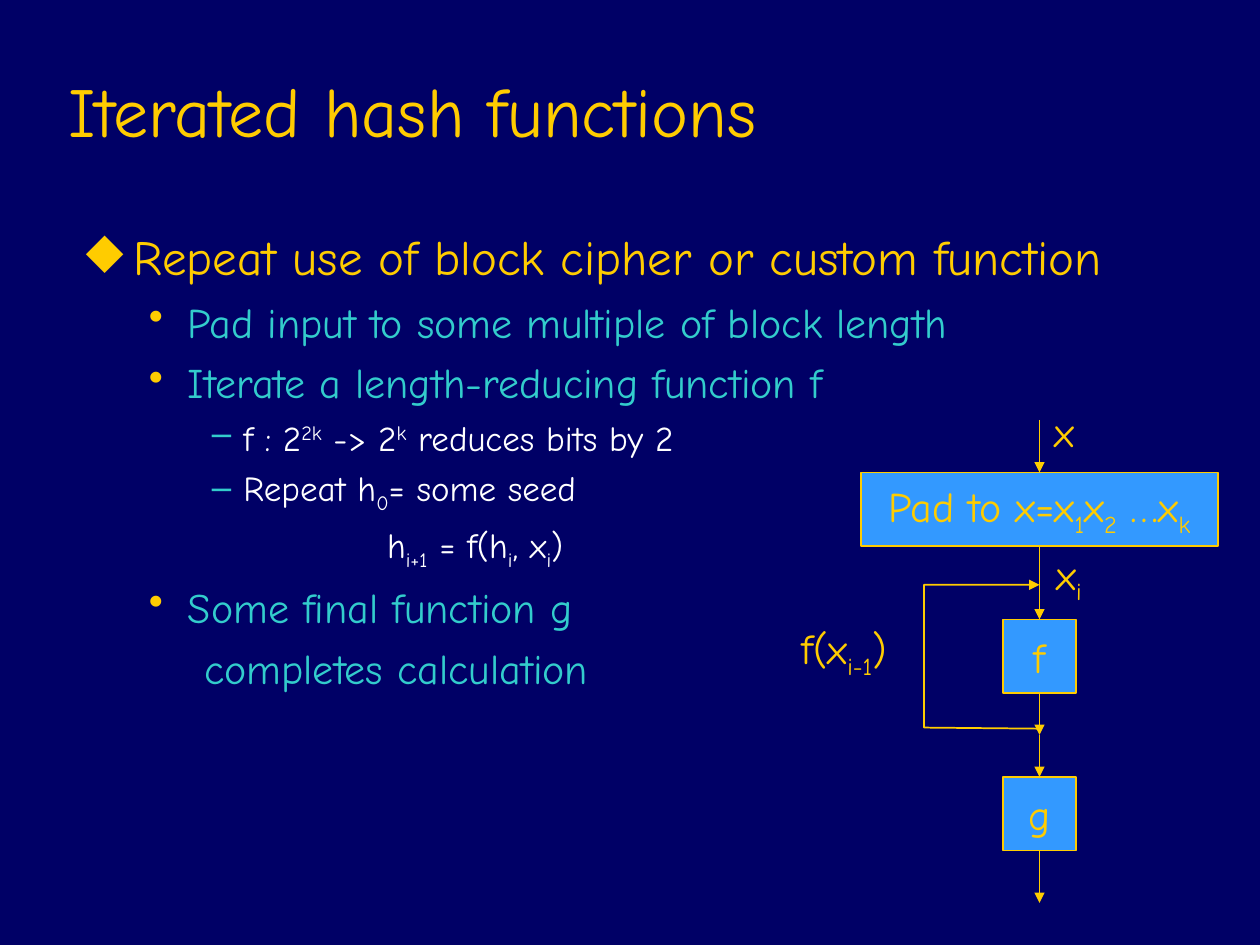
from dataclasses import dataclass

from lxml.etree import SubElement
from pptx import Presentation
from pptx.dml.color import RGBColor
from pptx.enum.shapes import MSO_CONNECTOR, MSO_SHAPE
from pptx.enum.text import MSO_ANCHOR, MSO_AUTO_SIZE, PP_ALIGN
from pptx.oxml.ns import qn
from pptx.util import Inches, Pt

NAVY = RGBColor(0x00, 0x00, 0x66)
GOLD = RGBColor(0xFF, 0xCC, 0x00)
TEAL = RGBColor(0x33, 0xCC, 0xCC)
WHITE = RGBColor(0xFF, 0xFF, 0xFF)
BLUE = RGBColor(0x33, 0x99, 0xFF)
FONT = "Comic Neue"
CELL = Inches(1) // 12  # the slide is a grid of 120 columns and 90 rows
AXIS = 99  # column that the data flow runs down
BASELINES = {"^": "30000", "_": "-25000"}


@dataclass(frozen=True)
class Level:
    depth: int
    size: int
    color: RGBColor
    bullet: str
    bullet_color: RGBColor
    margin: float
    hanging: float
    space_before: int


@dataclass(frozen=True)
class Item:
    level: Level
    text: str
    continued_at: float | None = None  # left margin of a line without bullet


@dataclass(frozen=True)
class Box:
    text: str
    row: float
    columns: float
    kind: MSO_SHAPE = MSO_SHAPE.RECTANGLE
    rows: float = 7


@dataclass(frozen=True)
class Label:
    text: str
    column: float
    row: float
    columns: float
    rows: float


TOPIC = Level(0, 28, GOLD, "◆", GOLD, 0.38, 0.38, 7)
POINT = Level(1, 24, TEAL, "•", GOLD, 0.81, 0.31, 6)
DETAIL = Level(2, 20, WHITE, "–", TEAL, 1.25, 0.25, 5)

# Parts between bars that start with ^ or _ are raised or lowered.
ITEMS = [
    Item(TOPIC, "Repeat use of block cipher or custom function"),
    Item(POINT, "Pad input to some multiple of block length"),
    Item(POINT, "Iterate a length-reducing function f"),
    Item(DETAIL, "f : 2|^2k| -> 2|^k| reduces bits by 2"),
    Item(DETAIL, "Repeat h|_0|= some seed"),
    Item(DETAIL, "h|_i+1| = f(h|_i|, x|_i|)", continued_at=2.39),
    Item(POINT, "Some final function g"),
    Item(POINT, "completes calculation", continued_at=0.94),
]
BOXES = [
    Box("Pad to x=x|_1|x|_2| …x|_k", 45, 34, MSO_SHAPE.FLOWCHART_PROCESS),
    Box("f", 59, 7),
    Box("g", 74, 7),
]
ARROW_ROWS = [(40, 45), (52, 59), (66, 70), (70, 74), (81, 86)]
LOOP = [(AXIS, 69.4), (88, 69.3), (88, 55.7), (AXIS, 55.7)]
LABELS = [
    Label("x", 99.2, 38, 4.3, 6),
    Label("x|_i", 99.4, 51.6, 4.8, 6.7),
    Label("f(x|_i-1|)", 75.1, 58.7, 10.6, 6.7),
]


def grid(*cells: float) -> list[int]:
    return [round(cell * CELL) for cell in cells]


def write(paragraph, text: str, size: int, color: RGBColor) -> None:
    paragraph.font.name = FONT
    paragraph.font.size = Pt(size)
    paragraph.font.color.rgb = color
    for part in text.split("|"):
        if not part:
            continue
        run = paragraph.add_run()
        baseline = BASELINES.get(part[0])
        run.text = part[1:] if baseline else part
        if baseline:
            run._r.get_or_add_rPr().set("baseline", baseline)


def write_centred(shape, text: str) -> None:
    frame = shape.text_frame
    frame.word_wrap = False
    frame.vertical_anchor = MSO_ANCHOR.MIDDLE
    paragraph = frame.paragraphs[0]
    paragraph.alignment = PP_ALIGN.CENTER
    write(paragraph, text, 24, GOLD)


def style_line(shape, arrow: bool = False) -> None:
    shape.line.color.rgb = GOLD
    shape.line.width = Pt(1)
    if arrow:
        SubElement(shape.line._get_or_add_ln(), qn("a:tailEnd"), type="triangle")


def add_title(slide, text: str) -> None:
    title = slide.shapes.title
    title.left, title.top = Inches(0.44), Inches(0.25)
    title.width, title.height = Inches(8.5), Inches(1)
    frame = title.text_frame
    frame.auto_size = MSO_AUTO_SIZE.NONE
    frame.vertical_anchor = MSO_ANCHOR.BOTTOM
    frame.paragraphs[0].alignment = PP_ALIGN.LEFT
    write(frame.paragraphs[0], text, 40, GOLD)


def add_item(paragraph, item: Item) -> None:
    level = item.level
    paragraph.level = level.depth
    paragraph.space_before = Pt(level.space_before)
    properties = paragraph._p.get_or_add_pPr()
    if item.continued_at is None:
        properties.set("marL", str(Inches(level.margin)))
        properties.set("indent", str(-Inches(level.hanging)))
        color = SubElement(properties, qn("a:buClr"))
        SubElement(color, qn("a:srgbClr"), val=str(level.bullet_color))
        SubElement(properties, qn("a:buChar"), char=level.bullet)
    else:
        properties.set("marL", str(Inches(item.continued_at)))
        properties.set("indent", "0")
    write(paragraph, item.text, level.size, level.color)


def add_outline(slide, items: list[Item]) -> None:
    frame = slide.shapes.add_textbox(*grid(7, 21, 103, 58)).text_frame
    frame.word_wrap = True
    for index, item in enumerate(items):
        add_item(frame.add_paragraph() if index else frame.paragraphs[0], item)


def add_box(slide, box: Box) -> None:
    left = AXIS - box.columns / 2
    shape = slide.shapes.add_shape(box.kind, *grid(left, box.row, box.columns, box.rows))
    shape.shadow.inherit = False
    shape.fill.solid()
    shape.fill.fore_color.rgb = BLUE
    style_line(shape)
    write_centred(shape, box.text)


def add_arrow(slide, start: float, end: float) -> None:
    arrow = slide.shapes.add_connector(MSO_CONNECTOR.STRAIGHT, *grid(AXIS, start, AXIS, end))
    style_line(arrow, arrow=True)
    SubElement(arrow._element.spPr, qn("a:effectLst"))


def add_loop(slide, points: list[tuple[float, float]]) -> None:
    builder = slide.shapes.build_freeform(*grid(*points[0]))
    builder.add_line_segments([grid(*point) for point in points[1:]], close=False)
    loop = builder.convert_to_shape()
    loop.shadow.inherit = False
    loop.fill.background()
    style_line(loop, arrow=True)


def main() -> None:
    presentation = Presentation()
    presentation.slide_width, presentation.slide_height = grid(120, 90)
    slide = presentation.slides.add_slide(presentation.slide_layouts[5])
    slide.background.fill.solid()
    slide.background.fill.fore_color.rgb = NAVY
    add_title(slide, "Iterated hash functions")
    add_outline(slide, ITEMS)
    for box in BOXES:
        add_box(slide, box)
    for start, end in ARROW_ROWS:
        add_arrow(slide, start, end)
    add_loop(slide, LOOP)
    for label in LABELS:
        place = grid(label.column, label.row, label.columns, label.rows)
        write_centred(slide.shapes.add_textbox(*place), label.text)
    presentation.save("out.pptx")


if __name__ == "__main__":
    main()
